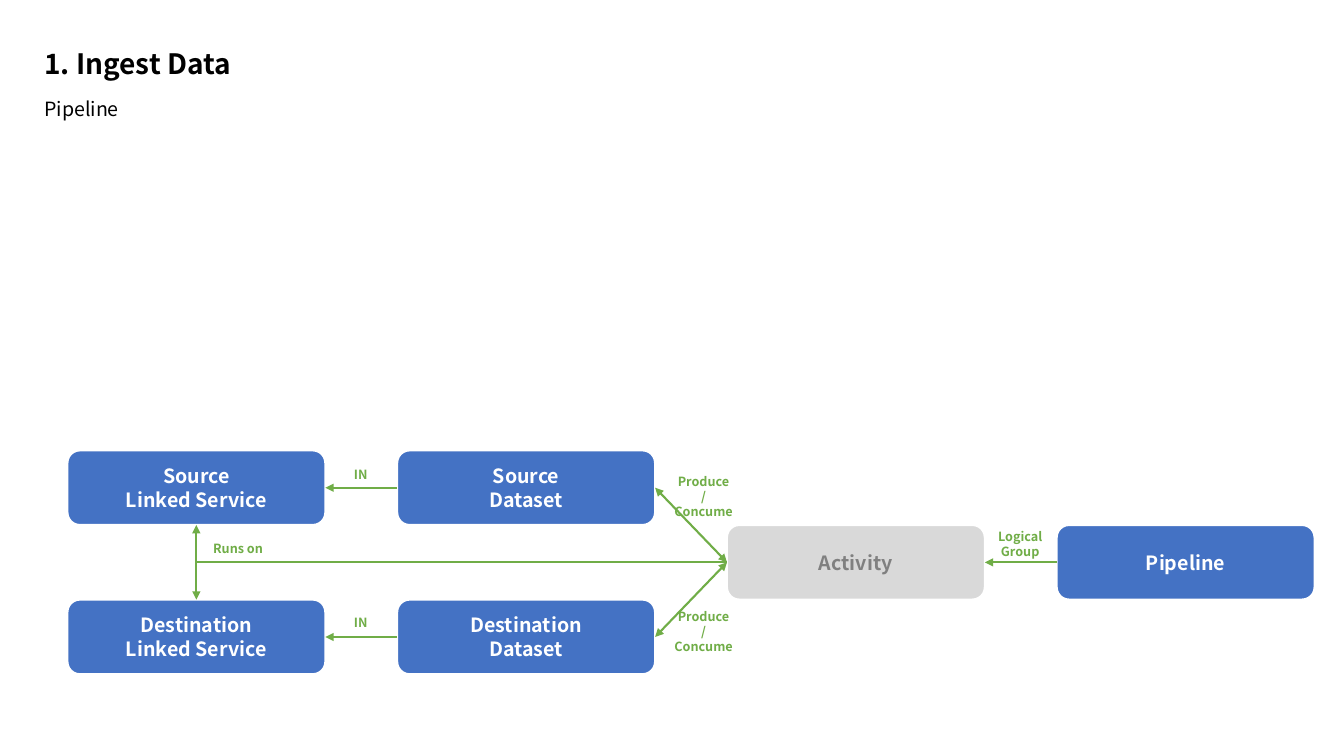
"""Build the "Ingest Data" slide showing how pipeline parts relate."""
from pptx import Presentation
from pptx.dml.color import RGBColor
from pptx.enum.shapes import MSO_CONNECTOR, MSO_SHAPE
from pptx.enum.text import MSO_ANCHOR, MSO_AUTO_SIZE, PP_ALIGN
from pptx.oxml.ns import qn
from pptx.util import Cm, Pt
from lxml.etree import SubElement

FONT = "Noto Sans CJK KR"
BLUE, GRAY, GREEN, WHITE = "4472C4", "D9D9D9", "70AD47", "FFFFFF"
BLACK, DARK_GRAY = "000000", "808080"
TOP, LEFT, BOTTOM, RIGHT = range(4)

HEADINGS = [
    ("1. Ingest Data", 1.02, 1.17, 20, True),
    ("Pipeline", 2.18, 1.19, 14, False),
]
BOXES = {
    "source service": ("Source\nLinked Service", 0, 0, BLUE, WHITE),
    "destination service": ("Destination\nLinked Service", 0, 2, BLUE, WHITE),
    "source dataset": ("Source\nDataset", 1, 0, BLUE, WHITE),
    "destination dataset": ("Destination\nDataset", 1, 2, BLUE, WHITE),
    "activity": ("Activity", 2, 1, GRAY, DARK_GRAY),
    "pipeline": ("Pipeline", 3, 1, BLUE, WHITE),
}
ARROWS = [
    ("activity", LEFT, "source dataset", RIGHT, True),
    ("activity", LEFT, "destination dataset", RIGHT, True),
    ("pipeline", LEFT, "activity", RIGHT, False),
    ("activity", LEFT, "source service", BOTTOM, False),
    ("activity", LEFT, "destination service", TOP, False),
    ("source dataset", LEFT, "source service", RIGHT, False),
    ("destination dataset", LEFT, "destination service", RIGHT, False),
]
LABELS = [
    ("Runs on", 4.78, 13.51, 0.64),
    ("IN", 7.87, 11.63, 0.64),
    ("IN", 7.87, 15.37, 0.64),
    ("Produce\n/\nConcume", 16.51, 15.21, 1.42),
    ("Produce\n/\nConcume", 16.51, 11.81, 1.42),
    ("Logical\nGroup", 24.49, 13.21, 1.02),
]
GRID_LEFT, GRID_TOP = 1.7, 11.35
COLUMN_STEP, ROW_STEP = 8.31, 1.88
BOX_WIDTH, BOX_HEIGHT = 6.5, 1.88
LABEL_WIDTH = 2.44


def color(value):
    return RGBColor.from_string(value)


def write(shape, text, size, bold, text_color, alignment, anchor):
    frame = shape.text_frame
    frame.text = text
    frame.word_wrap = True
    frame.auto_size = MSO_AUTO_SIZE.NONE
    frame.vertical_anchor = anchor
    for paragraph in frame.paragraphs:
        paragraph.alignment = alignment
        for run in paragraph.runs:
            run.font.name = FONT
            run.font.size = Pt(size)
            run.font.bold = bold
            run.font.color.rgb = color(text_color)


def add_headings(slide):
    for placeholder, heading in zip(slide.placeholders, HEADINGS):
        text, top, height, size, bold = heading
        placeholder.left, placeholder.top = Cm(0.86), Cm(top)
        placeholder.width, placeholder.height = Cm(32.13), Cm(height)
        write(placeholder, text, size, bold, BLACK, PP_ALIGN.LEFT, MSO_ANCHOR.MIDDLE)
    paragraph = slide.placeholders[1].text_frame.paragraphs[0]
    paragraph.line_spacing = 0.9
    paragraph.space_before = Pt(4)
    properties = paragraph._p.get_or_add_pPr()
    properties.set("marL", "0")
    properties.set("indent", "0")
    SubElement(properties, qn("a:buNone"))


def add_box(slide, text, column, row, fill, text_color):
    shape = slide.shapes.add_shape(
        MSO_SHAPE.ROUNDED_RECTANGLE,
        Cm(GRID_LEFT + column * COLUMN_STEP), Cm(GRID_TOP + row * ROW_STEP),
        Cm(BOX_WIDTH), Cm(BOX_HEIGHT))
    shape.shadow.inherit = False
    shape.fill.solid()
    shape.fill.fore_color.rgb = color(fill)
    shape.line.color.rgb = color(WHITE)
    shape.line.width = Pt(1.5)
    write(shape, text, 14, True, text_color, PP_ALIGN.CENTER, MSO_ANCHOR.MIDDLE)
    return shape


def add_arrow(slide, start, start_side, end, end_side, both_heads):
    bent = end_side in (TOP, BOTTOM)
    kind = MSO_CONNECTOR.ELBOW if bent else MSO_CONNECTOR.STRAIGHT
    connector = slide.shapes.add_connector(kind, 0, 0, 0, 0)
    connector.begin_connect(start, start_side)
    connector.end_connect(end, end_side)
    connector.line.color.rgb = color(GREEN)
    connector.line.width = Pt(1.5)
    properties = connector._element.spPr
    if bent:
        properties.find(qn("a:prstGeom")).set("prst", "bentConnector2")
    line = properties.find(qn("a:ln"))
    for tag in ("a:headEnd", "a:tailEnd") if both_heads else ("a:tailEnd",):
        SubElement(line, qn(tag), type="triangle")
    SubElement(properties, qn("a:effectLst"))


def add_label(slide, text, left, top, height):
    label = slide.shapes.add_textbox(Cm(left), Cm(top), Cm(LABEL_WIDTH), Cm(height))
    write(label, text, 9, True, GREEN, PP_ALIGN.CENTER, MSO_ANCHOR.TOP)


def main():
    presentation = Presentation()
    presentation.slide_width, presentation.slide_height = Cm(33.87), Cm(19.05)
    slide = presentation.slides.add_slide(presentation.slide_layouts[1])
    add_headings(slide)
    boxes = {name: add_box(slide, *box) for name, box in BOXES.items()}
    for start, start_side, end, end_side, both_heads in ARROWS:
        add_arrow(slide, boxes[start], start_side, boxes[end], end_side, both_heads)
    for label in LABELS:
        add_label(slide, *label)
    presentation.save("out.pptx")


if __name__ == "__main__":
    main()
